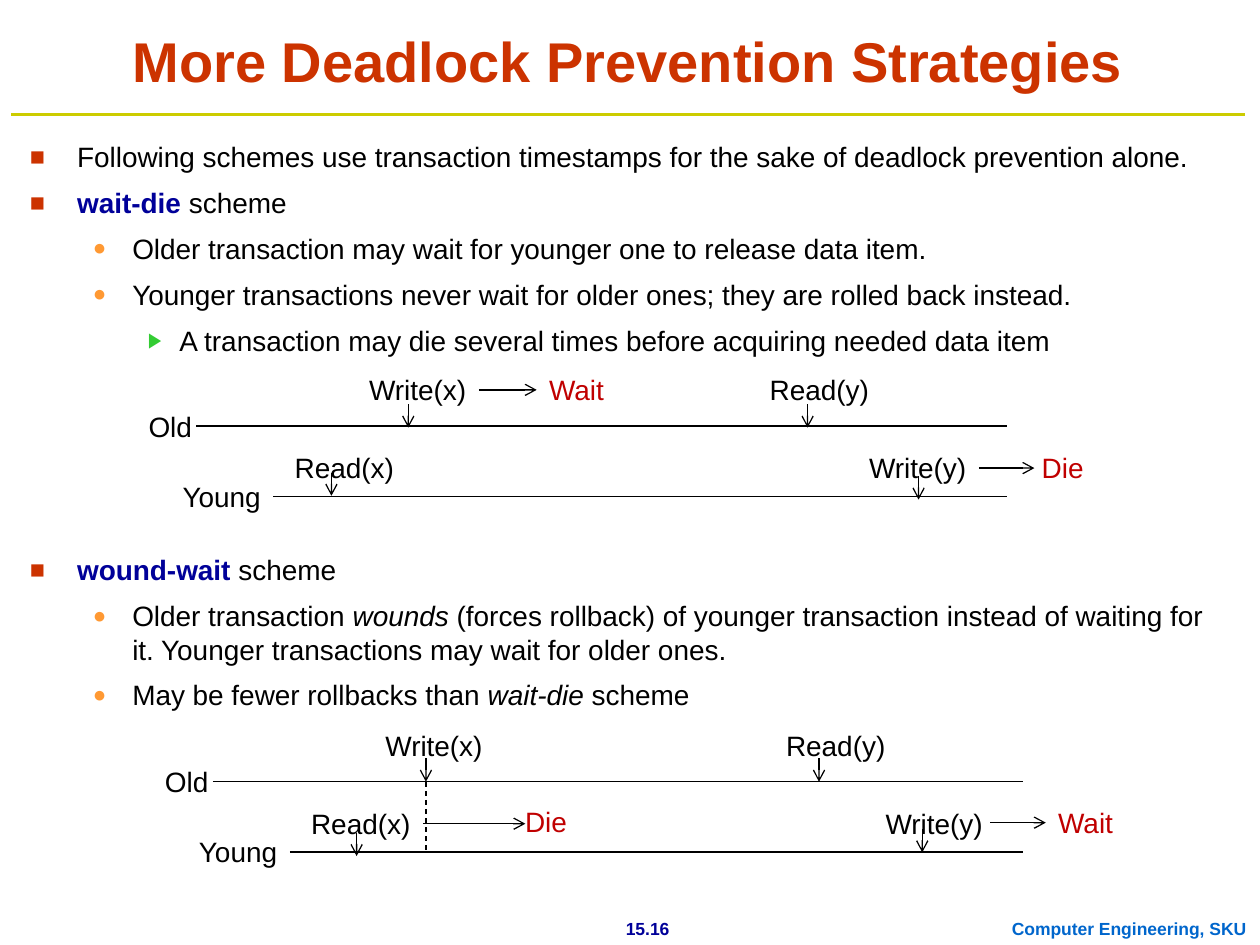
from lxml import etree
from pptx import Presentation
from pptx.dml.color import RGBColor
from pptx.enum import dml, shapes, text
from pptx.oxml.ns import qn
from pptx.util import Pt

HUES = dict(title="CC3300", rule="CCCC00", ink="000000", term="000099", foot="0066CC",
            fate="C00000", square="CC3300", dot="FF9933", wedge="33CC33")
TITLE = "More Deadlock Prevention Strategies"
FEET = [("15.16", 331.9, 76.3, "term"), ("Computer Engineering, SKU", 571, 148.3, "foot")]

# Bullet levels: left margin, hanging indent, mark, size in percent, colour
LEVELS = [(27, 27, "■", 90, "square"), (58.5, 22.5, "●", 80, "dot"),
          (85.5, 18, "▶", 75, "wedge")]
# Body blocks: top, height, then paragraphs of level and (words, style) runs
BODY = [
    (76.3, 135, [
        (0, [("Following schemes use transaction timestamps for the sake of "
              "deadlock prevention alone.", "")]),
        (0, [("wait-die", "term"), (" scheme", "")]),
        (1, [("Older transaction may wait for younger one to release data item.", "")]),
        (1, [("Younger transactions never wait for older ones; "
              "they are rolled back instead.", "")]),
        (2, [("A transaction may die several times before acquiring needed data item", "")]),
    ]),
    (312.3, 108, [
        (0, [("wound-wait", "term"), (" scheme", "")]),
        (1, [("Older transaction ", ""), ("wounds", "italic"),
             (" (forces rollback) of younger transaction instead of waiting for it. "
              "Younger transactions may wait for older ones.", "")]),
        (1, [("May be fewer rollbacks than ", ""), ("wait-die", "italic"), (" scheme", "")]),
    ]),
]

# Timelines shared by both schemes: labels (left, top, width) and lines (left, y)
LABELS = {"Old": (77.8, 230.4, 42), "Young": (97.2, 270.3, 62),
          "Read(x)": (161.3, 254.2, 71.3), "Write(x)": (203.8, 209.5, 69.8),
          "Read(y)": (432.7, 209.5, 71.3), "Write(y)": (489.6, 254.2, 69.8)}
LANES = [(112.3, 243.4), (156.2, 283.7)]
END, HIGH, DROP = 575.3, 26.6, 13.3
# fates: word, left, top, width, source label, arrow start or None, arrow end or None;
# None joins the arrow to the label on that side
SCHEMES = [
    dict(shift=(0, 0),
         drops=[(189.4, 270), (233.3, 231.1), (461.5, 231.1), (524.9, 272.2)],
         fates=[("Wait", 306.7, 209.5, 48, "Write(x)", None, None),
                ("Die", 588.2, 254.2, 43.9, "Write(y)", None, 591.1)],
         dashes=[]),
    dict(shift=(9.4, 203.2),
         drops=[(203.8, 475.9), (243.4, 433.4), (468, 433.4), (527, 473.8)],
         fates=[("Die", 293, 456.2, 41, "Read(x)", None, 300.2),
                ("Wait", 597.6, 456.8, 51.1, "Write(y)", 565.9, None)],
         dashes=[(243.4, 446.8, 486.9)]),
]

deck = Presentation()
deck.slide_width, deck.slide_height = Pt(720), Pt(540)
slide = deck.slides.add_slide(deck.slide_layouts[6])


def hue(name):
    return RGBColor.from_string(HUES[name])


def style(font, size, tint="ink", bold=False):
    font.name, font.size, font.bold = "Arial", Pt(size), bold
    font.color.rgb = hue(tint)


def frame(x, y, w, h, wrap=True):
    box = slide.shapes.add_textbox(Pt(x), Pt(y), Pt(w), Pt(h))
    box.text_frame.word_wrap = wrap
    return box


def label(words, x, y, w, h=HIGH, size=16, tint="ink", bold=False):
    box = frame(x, y, w, h)
    para = box.text_frame.paragraphs[0]
    para.text = words
    style(para.font, size, tint, bold)
    return box


def line(x1, y1, x2, y2, tint="ink", width=0.75, arrow=False):
    rod = slide.shapes.add_connector(shapes.MSO_CONNECTOR.STRAIGHT,
                                     Pt(x1), Pt(y1), Pt(x2), Pt(y2))
    rod.line.color.rgb, rod.line.width = hue(tint), Pt(width)
    if arrow:
        etree.SubElement(rod.line._get_or_add_ln(), qn("a:tailEnd"), type="arrow")
    etree.SubElement(rod._element.spPr, qn("a:effectLst"))
    return rod


def bullet(para, level):
    left, hang, mark, size, tint = LEVELS[level]
    para.level = level
    props = para._p.get_or_add_pPr()
    props.set("marL", str(Pt(left)))
    props.set("indent", str(-Pt(hang)))
    paint = etree.SubElement(props, qn("a:buClr"))
    etree.SubElement(paint, qn("a:srgbClr"), val=HUES[tint])
    etree.SubElement(props, qn("a:buSzPct"), val=str(size * 1000))
    etree.SubElement(props, qn("a:buFont"), typeface="Arial")
    etree.SubElement(props, qn("a:buChar"), char=mark)


# Footer, rule and title
for words, x, w, tint in FEET:
    foot = label(words, x, 521, w, 19, 10, tint, True)
    foot.text_frame.paragraphs[0].alignment = text.PP_ALIGN.CENTER
line(6.5, 65.5, 711.4, 65.5, "rule", 2)
head = frame(6.5, 8.8, 704.9, 48.2)
head.text_frame.vertical_anchor = text.MSO_ANCHOR.BOTTOM
para = head.text_frame.paragraphs[0]
para.text, para.alignment = TITLE, text.PP_ALIGN.CENTER
style(para.font, 32, "title", True)

# Bulleted text
for top, high, paras in BODY:
    body = frame(10, top, 701.3, high).text_frame
    for i, (level, runs) in enumerate(paras):
        para = body.add_paragraph() if i else body.paragraphs[0]
        para.space_before = Pt(7 if i else 0)
        bullet(para, level)
        style(para.font, 16)
        for words, kind in runs:
            run = para.add_run()
            run.text = words
            if kind == "term":
                run.font.bold, run.font.color.rgb = True, hue("term")
            elif kind == "italic":
                run.font.italic = True

# Timeline diagrams
for plan in SCHEMES:
    dx, dy = plan["shift"]
    for x, y in LANES:
        line(x + dx, y + dy, END + dx, y + dy)
    tags = {name: label(name, x + dx, y + dy, w) for name, (x, y, w) in LABELS.items()}
    for x, y in plan["drops"]:
        line(x, y, x, y + DROP, arrow=True)
    for word, x, y, w, source, start, stop in plan["fates"]:
        fate = label(word, x, y, w, tint="fate")
        # Stay level with the label the arrow is joined to
        mid = HIGH / 2 + (y if start else LABELS[source][1] + dy)
        rod = line(start or x, mid, stop or x, mid, arrow=True)
        if start is None:
            rod.begin_connect(tags[source], 3)
        if stop is None:
            rod.end_connect(fate, 1)
    for x, y1, y2 in plan["dashes"]:
        line(x, y1, x, y2).line.dash_style = dml.MSO_LINE.DASH

deck.save("out.pptx")
